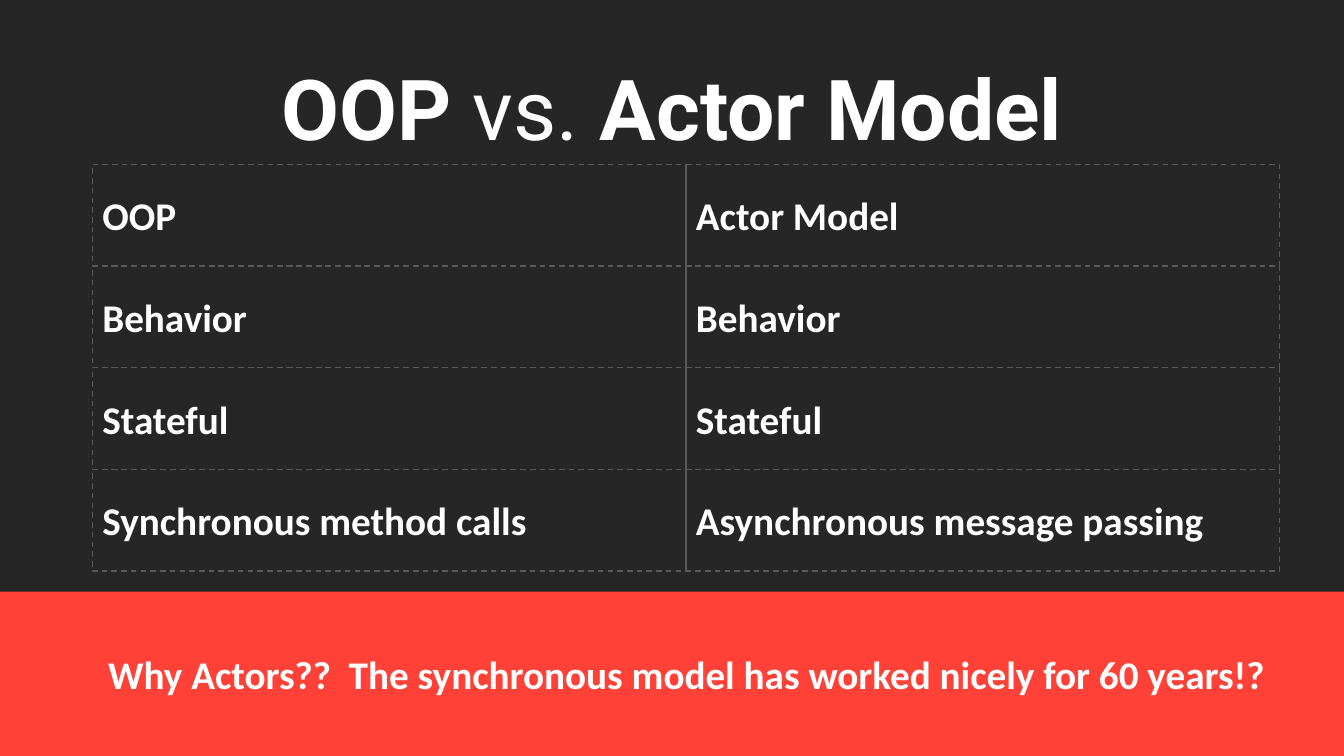
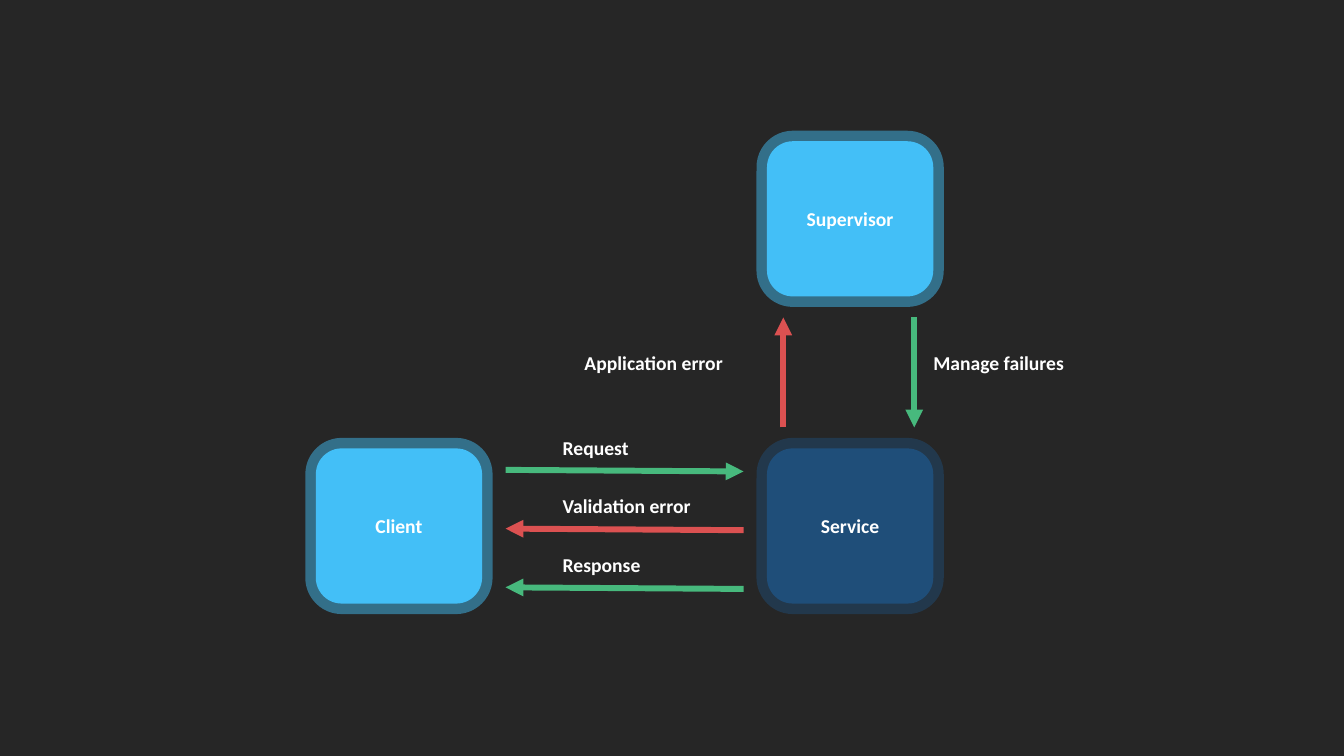
from dataclasses import dataclass

from lxml.etree import SubElement
from pptx import Presentation
from pptx.dml.color import RGBColor
from pptx.enum.dml import MSO_LINE
from pptx.enum.shapes import MSO_CONNECTOR, MSO_SHAPE
from pptx.enum.text import MSO_ANCHOR, MSO_AUTO_SIZE, PP_ALIGN
from pptx.oxml.ns import qn
from pptx.util import Cm, Pt


@dataclass(frozen=True)
class Theme:
    background: str = "262626"
    text: str = "FFFFFF"
    band: str = "FF4137"
    border: str = "595959"
    actor: str = "43BFF7"
    service: str = "1F4E79"
    success: str = "47B97D"
    failure: str = "DB5151"
    body_font: str = "Calibri"
    title_font: str = "Roboto"
    title_size: int = 60
    body_size: int = 28
    label_size: int = 14
    border_width: float = 1
    arrow_width: float = 4.25
    halo_width: float = 15
    actor_opacity: int = 48
    service_opacity: int = 46


@dataclass(frozen=True)
class Box:
    """A rectangle measured in centimetres."""
    left: float
    top: float
    width: float
    height: float

    @property
    def right(self):
        return self.left + self.width

    @property
    def bottom(self):
        return self.top + self.height

    def lengths(self):
        return Cm(self.left), Cm(self.top), Cm(self.width), Cm(self.height)


THEME = Theme()
PAGE = Box(0, 0, 33.87, 19.05)
COMPARISON = [
    ("OOP", "Actor Model"),
    ("Behavior", "Behavior"),
    ("Stateful", "Stateful"),
    ("Synchronous method calls", "Asynchronous message passing"),
]


def color(code):
    return RGBColor.from_string(code)


def add_span(para, text, size, font=THEME.body_font, bold=True):
    span = para.add_run()
    span.text = text
    span.font.name = font
    span.font.size = Pt(size)
    span.font.bold = bold
    span.font.color.rgb = color(THEME.text)


def add_text(page, box, text, size, align=PP_ALIGN.LEFT):
    frame = page.shapes.add_textbox(*box.lengths()).text_frame
    frame.word_wrap = True
    para = frame.paragraphs[0]
    para.alignment = align
    add_span(para, text, size)


def add_shape(page, kind, box, fill=None):
    """Add a shape without shadow or outline, unfilled unless a fill is given."""
    shape = page.shapes.add_shape(kind, *box.lengths())
    shape.shadow.inherit = False
    shape.line.fill.background()
    if fill:
        shape.fill.solid()
        shape.fill.fore_color.rgb = color(fill)
    else:
        shape.fill.background()
    return shape


def set_shape_text(shape, text, size, align):
    frame = shape.text_frame
    frame.vertical_anchor = MSO_ANCHOR.MIDDLE
    para = frame.paragraphs[0]
    para.alignment = align
    add_span(para, text, size)


def add_title(page, box, spans):
    """Fill the title placeholder from (text, bold) pairs."""
    title = page.shapes.title
    title.left, title.top, title.width, title.height = box.lengths()
    frame = title.text_frame
    frame.auto_size = MSO_AUTO_SIZE.NONE
    frame.vertical_anchor = MSO_ANCHOR.MIDDLE
    para = frame.paragraphs[0]
    para.alignment = PP_ALIGN.CENTER
    para.line_spacing = 0.9
    for text, bold in spans:
        add_span(para, text, THEME.title_size, THEME.title_font, bold)


def add_comparison(page, box, rows):
    """Place a grid of dashed frames, one for each statement."""
    width, height = box.width / len(rows[0]), box.height / len(rows)
    for row_index, row in enumerate(rows):
        for column_index, text in enumerate(row):
            left = box.left + column_index * width
            top = box.top + row_index * height
            panel = add_shape(page, MSO_SHAPE.RECTANGLE, Box(left, top, width, height))
            panel.line.color.rgb = color(THEME.border)
            panel.line.width = Pt(THEME.border_width)
            panel.line.dash_style = MSO_LINE.DASH
            set_shape_text(panel, text, THEME.body_size, PP_ALIGN.LEFT)


def add_question_band(page, box, text):
    add_shape(page, MSO_SHAPE.RECTANGLE, box, THEME.band)
    indent = 0.72
    text_box = Box(box.left + indent, box.top + 1.35, box.width - indent, 1.44)
    add_text(page, text_box, text, THEME.body_size, PP_ALIGN.CENTER)


def add_node(page, box, text, fill, opacity):
    """Place a rounded block with a translucent outline."""
    node = add_shape(page, MSO_SHAPE.ROUNDED_RECTANGLE, box, fill)
    node.line.color.rgb = color(fill)
    node.line.width = Pt(THEME.halo_width)
    outline = node.element.spPr.find(qn("a:ln"))
    tint = outline.find(f"{qn('a:solidFill')}/{qn('a:srgbClr')}")
    SubElement(tint, qn("a:alpha"), val=str(opacity * 1000))
    set_shape_text(node, text, THEME.label_size, PP_ALIGN.CENTER)


def add_arrow(page, start, end, stroke):
    points = [Cm(value) for value in (*start, *end)]
    arrow = page.shapes.add_connector(MSO_CONNECTOR.STRAIGHT, *points)
    arrow.line.color.rgb = color(stroke)
    arrow.line.width = Pt(THEME.arrow_width)
    properties = arrow.element.spPr
    SubElement(properties.find(qn("a:ln")), qn("a:tailEnd"), type="triangle")
    SubElement(properties, qn("a:effectLst"))


def add_label(page, left, top, text):
    add_text(page, Box(left, top, 4.3, 0.86), text, THEME.label_size)


def add_messages(page, client, service):
    """Place the arrows between client and service, with labels above them."""
    gap, pitch, slant = 0.59, 1.48, 0.04
    near_x, far_x = client.right + gap, service.left - gap
    messages = [
        ("Request", True, THEME.success),
        ("Validation error", False, THEME.failure),
        ("Response", False, THEME.success),
    ]
    for index, (text, outbound, stroke) in enumerate(messages):
        y = service.top + 0.54 + index * pitch
        near, far = (near_x, y), (far_x, y + slant)
        start, end = (near, far) if outbound else (far, near)
        add_arrow(page, start, end, stroke)
        add_label(page, near_x + 1.19, y - 0.99, text)


def add_escalation(page, supervisor, service):
    """Place the arrows between supervisor and service, with labels beside them."""
    gap = 0.53
    upper, lower = supervisor.bottom + gap, service.top - gap
    signals = [
        ("Application error", service.left + 0.41, lower, upper, THEME.failure, -5.26),
        ("Manage failures", service.right - 0.48, upper, lower, THEME.success, 0.23),
    ]
    for text, x, start, end, stroke, offset in signals:
        add_arrow(page, (x, start), (x, end), stroke)
        add_label(page, x + offset, (upper + lower) / 2 - 0.66, text)


def add_supervision(page, box):
    width, height = 4.19, 3.91
    right, bottom = box.right - width, box.bottom - height
    client = Box(box.left, bottom, width, height)
    service = Box(right, bottom, width, height)
    supervisor = Box(right, box.top, width, height)
    add_node(page, service, "Service", THEME.service, THEME.service_opacity)
    add_node(page, supervisor, "Supervisor", THEME.actor, THEME.actor_opacity)
    add_node(page, client, "Client", THEME.actor, THEME.actor_opacity)
    add_messages(page, client, service)
    add_escalation(page, supervisor, service)


def build_comparison_page(deck):
    page = deck.slides.add_slide(deck.slide_layouts.get_by_name("Title Only"))
    add_question_band(
        page,
        Box(0, 14.91, PAGE.width, PAGE.height - 14.91),
        "Why Actors??  The synchronous model has worked nicely for 60 years!?",
    )
    add_comparison(page, Box(2.33, 4.14, 29.92, 10.25), COMPARISON)
    add_title(
        page,
        Box(2.33, 1.02, 29.21, 3.68),
        [("OOP ", True), ("vs. ", False), ("Actor Model", True)],
    )


def build_supervision_page(deck):
    page = deck.slides.add_slide(deck.slide_layouts.get_by_name("Blank"))
    add_supervision(page, Box(7.96, 3.56, 15.56, 11.65))


def main():
    deck = Presentation()
    deck.slide_width, deck.slide_height = Cm(PAGE.width), Cm(PAGE.height)
    backdrop = deck.slide_master.background.fill
    backdrop.solid()
    backdrop.fore_color.rgb = color(THEME.background)
    build_comparison_page(deck)
    build_supervision_page(deck)
    deck.save("out.pptx")


if __name__ == "__main__":
    main()
